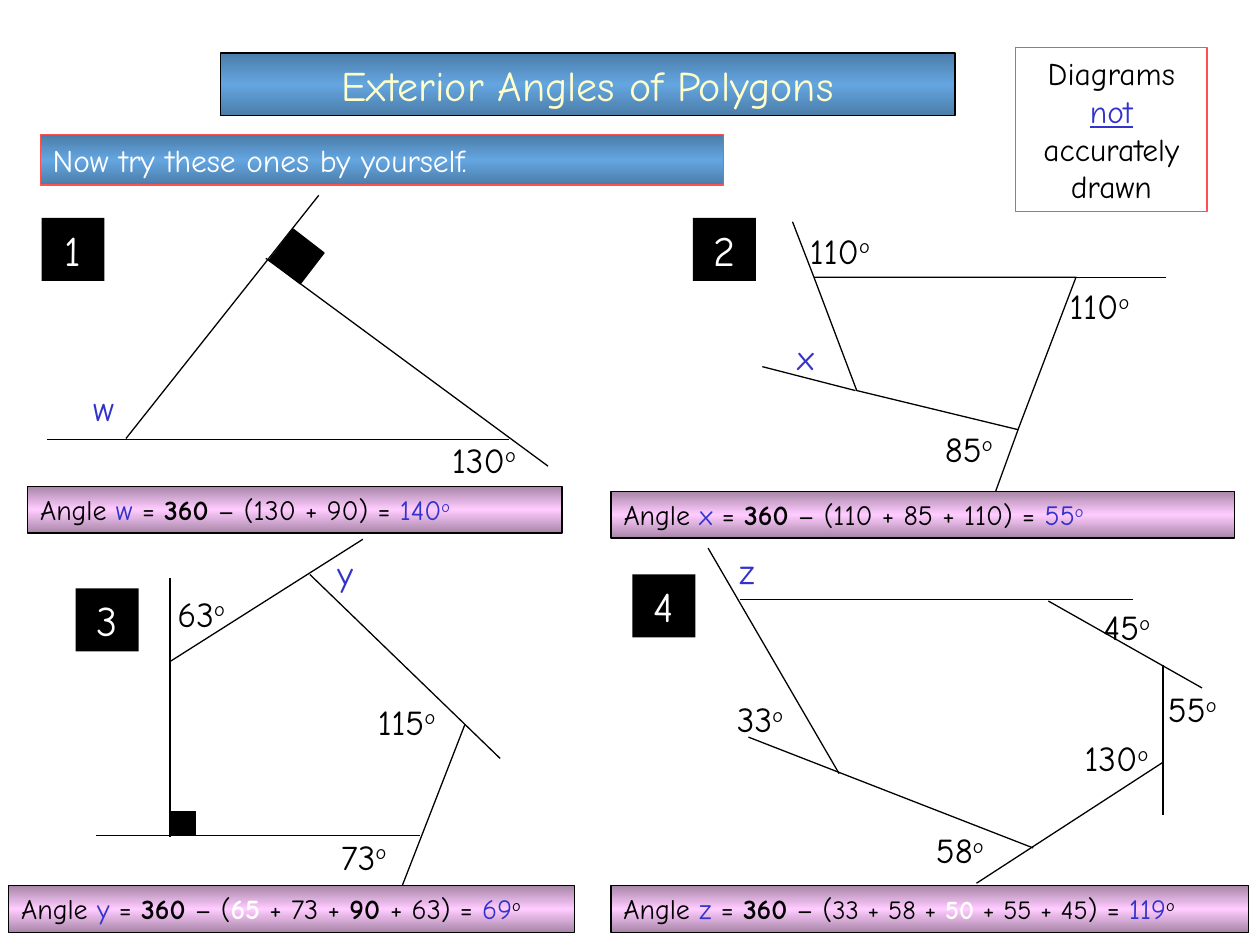
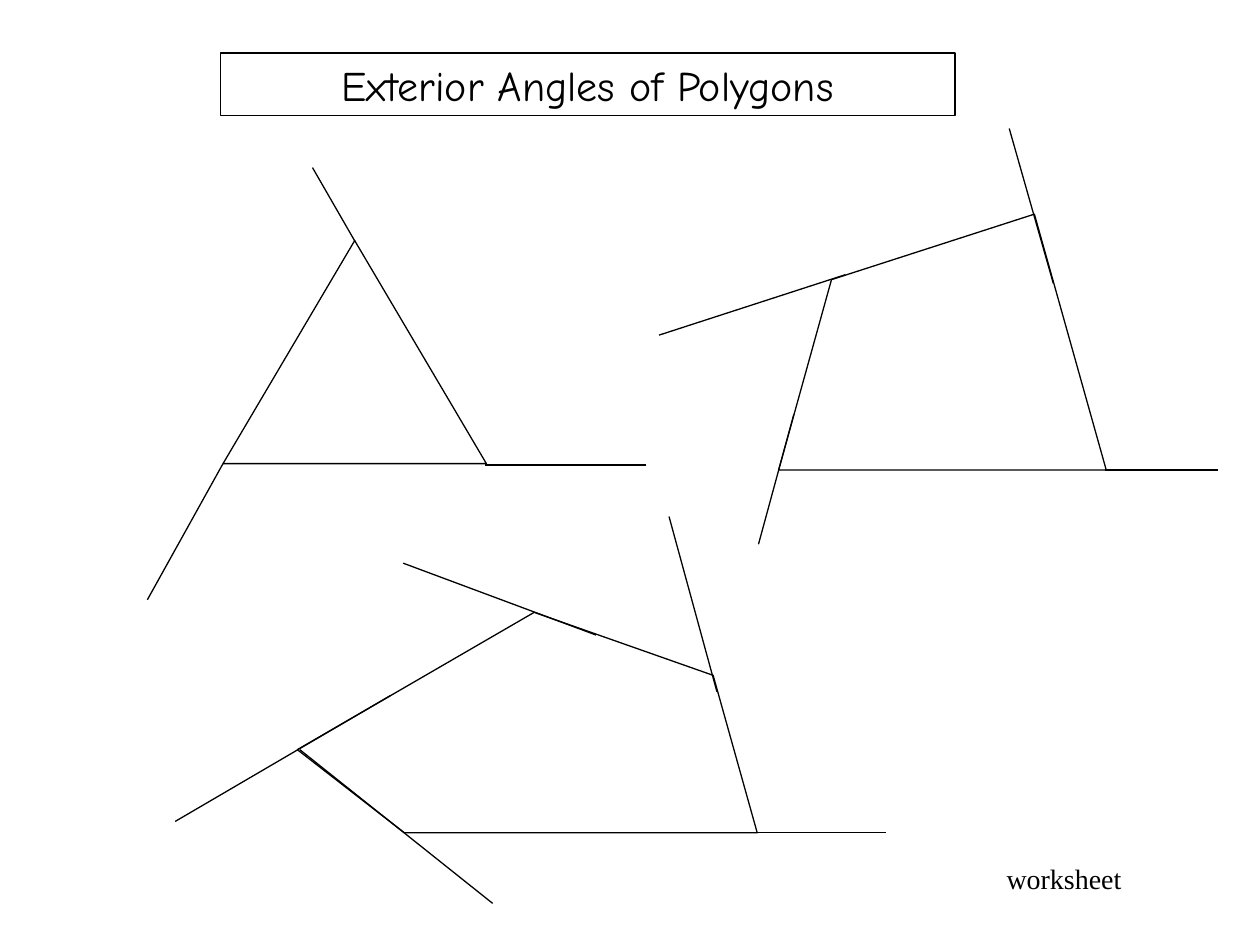
from copy import deepcopy

from lxml import etree
from pptx import Presentation
from pptx.dml.color import RGBColor
from pptx.enum.shapes import MSO_CONNECTOR, MSO_SHAPE
from pptx.enum.text import MSO_ANCHOR, PP_ALIGN
from pptx.oxml.ns import qn
from pptx.util import Emu, Pt

PX = 9144  # 100 px to the inch
STRAIGHT = MSO_CONNECTOR.STRAIGHT
RECTANGLE = MSO_SHAPE.RECTANGLE
TRIANGLE = MSO_SHAPE.ISOSCELES_TRIANGLE
LEFT, CENTER = PP_ALIGN.LEFT, PP_ALIGN.CENTER
TOP = MSO_ANCHOR.TOP

BLACK = RGBColor(0x00, 0x00, 0x00)
WHITE = RGBColor(0xFF, 0xFF, 0xFF)
CREAM = RGBColor(0xFF, 0xFF, 0xCC)
BLUE = RGBColor(0x33, 0x33, 0xCC)
RED = RGBColor(0xFF, 0x50, 0x50)
BLUE_BAND = (RGBColor(0x4B, 0x7D, 0xA9), RGBColor(0x64, 0xA5, 0xE0))
PINK_BAND = (RGBColor(0xA8, 0x86, 0xA8), RGBColor(0xFF, 0xCC, 0xFF))

HAND_FONT = "Comic Neue"
SERIF_FONT = "Times New Roman"
TITLE = "Exterior Angles of Polygons"
DEGREE = ("o", {"raised": True})


def px(*lengths):
    return [Emu(length * PX) for length in lengths]


# ---- Shared drawing helpers ----
def write(shape, text, size=20, color=BLACK, font=HAND_FONT, align=LEFT):
    """Text is a string or a list of (string, format) runs."""
    frame = shape.text_frame
    frame.word_wrap = True
    frame.vertical_anchor = TOP
    paragraph = frame.paragraphs[0]
    paragraph.alignment = align
    runs = [(text, {})] if isinstance(text, str) else text
    for words, look in runs:
        run = paragraph.add_run()
        run.text = words
        run.font.name = font
        run.font.size = Pt(look.get("size", size))
        run.font.bold = look.get("bold", False)
        run.font.underline = look.get("underline", False)
        run.font.color.rgb = look.get("color", color)
        if look.get("raised"):
            run._r.get_or_add_rPr().set("baseline", "30000")


def paint(shape, fill=None, line=BLACK):
    """Fill is a colour, an (edge, middle) pair for a band, or None."""
    shape.shadow.inherit = False
    if fill is None:
        shape.fill.background()
    elif isinstance(fill, RGBColor):
        shape.fill.solid()
        shape.fill.fore_color.rgb = fill
    else:
        edge, middle = fill
        shape.fill.gradient()
        shape.fill.gradient_angle = 90
        stops = shape._element.spPr.find(".//" + qn("a:gsLst"))
        stops.append(deepcopy(stops[0]))
        for stop, color, position in zip(shape.fill.gradient_stops,
                                         (edge, middle, edge), (0, 0.5, 1)):
            stop.color.rgb = color
            stop.position = position
    if line is None:
        shape.line.fill.background()
    else:
        shape.line.color.rgb = line
        shape.line.width = Pt(0.75)


def add_box(slide, box, fill=None, line=BLACK, kind=RECTANGLE):
    shape = slide.shapes.add_shape(kind, *px(*box))
    paint(shape, fill, line)
    return shape


def add_label(slide, box, text, **look):
    write(slide.shapes.add_textbox(*px(*box)), text, **look)


def add_lines(slide, left, top, lines):
    for x1, y1, x2, y2 in lines:
        side = slide.shapes.add_connector(
            STRAIGHT, *px(left + x1, top + y1, left + x2, top + y2))
        side.line.color.rgb = BLACK
        side.line.width = Pt(0.75)
        etree.SubElement(side._element.spPr, qn("a:effectLst"))


def add_polygon(slide, left, top, corners):
    first, *rest = [(left + x, top + y) for x, y in corners]
    outline = slide.shapes.build_freeform(*first, scale=PX)
    outline.add_line_segments(rest, close=True)
    paint(outline.convert_to_shape())


def add_title(slide, fill=None, color=BLACK):
    banner = add_box(slide, (175, 42, 583, 50), fill)
    write(banner, TITLE, size=24, color=color, align=CENTER)


# ---- Slide 1: four questions ----
def answer_runs(letter, working, result, degree_color=BLACK):
    return [("Angle ", {}), (letter, {"color": BLUE}), (" = ", {}),
            ("360", {"bold": True}), *working, (result, {"color": BLUE}),
            ("o", {"raised": True, "color": degree_color})]


def add_question(slide, number, q):
    left, top = q["origin"]

    # Sides of the polygon and their extensions
    if "corners" in q:
        add_polygon(slide, left, top, q["corners"])
    add_lines(slide, left, top, q["lines"])

    # Number badge
    x, y = q["badge"]
    badge = add_box(slide, (left + x, top + y, 50, 50), BLACK, None)
    write(badge, str(number), size=24, color=WHITE, align=CENTER)

    # Right-angle mark
    if "right_angle" in q:
        x, y, side, turn = q["right_angle"]
        mark = add_box(slide, (left + x, top + y, side, side), BLACK)
        mark.rotation = turn

    # Known angles and the unknown one
    for degrees, x, y in q["angles"]:
        add_label(slide, (left + x, top + y, 83, 44), [(degrees, {}), DEGREE])
    letter, x, y = q["unknown"]
    add_label(slide, (left + x, top + y, 48, 44), letter, color=BLUE)

    # Answer band
    x, y, width = q["band"]
    band = add_box(slide, (left + x, top + y, width, 37), PINK_BAND)
    write(band, answer_runs(letter, *q["answer"]), size=16)


QUESTIONS = [
    {"origin": (0, 155), "badge": (33, 18),
     "lines": [(404, 194, 37, 194), (435, 215, 211, 50), (100, 193, 253, 0)],
     "right_angle": (220, 33, 31, 307.6),
     "angles": [("130", 349, 188)],
     "unknown": ("w", 64, 147),
     "band": (22, 231, 424),
     "answer": ([(" – (130 + 90) = ", {})], "140", BLUE)},
    {"origin": (485, 155), "badge": (65, 18),
     "corners": [(161, 65), (369, 65), (323, 186), (195, 155)],
     "lines": [(368, 65, 440, 65), (323, 186, 303, 241),
               (194, 155, 120, 136), (161, 65, 144, 21)],
     "angles": [("110", 148, 22), ("85", 255, 179), ("110", 354, 66)],
     "unknown": ("x", 138, 106),
     "band": (0, 235, 495),
     "answer": ([(" – (110 + 85 + 110) = ", {})], "55", BLUE)},
    {"origin": (0, 425), "badge": (60, 42),
     "lines": [(333, 238, 76, 238), (135, 239, 135, 34), (135, 100, 288, 3),
               (246, 31, 397, 177), (369, 150, 313, 294)],
     "right_angle": (136, 219, 19, 0),
     "angles": [("63", 131, 40), ("73", 261, 233), ("115", 290, 126)],
     "unknown": ("y", 258, 8),
     "band": (7, 278, 449),
     "answer": ([(" – (", {}), ("65", {"color": WHITE, "bold": True}),
                 (" + 73 + ", {}), ("90 ", {"bold": True}), ("+ 63) = ", {})],
                "69")},
    {"origin": (485, 425), "badge": (17, 31),
     "lines": [(102, 51, 414, 51), (77, 10, 181, 189), (109, 160, 335, 248),
               (290, 276, 438, 180), (438, 222, 438, 103),
               (469, 121, 347, 52)],
     "angles": [("58", 248, 228), ("33", 90, 124), ("55", 432, 116),
                ("130", 366, 155), ("45", 381, 51)],
     "unknown": ("z", 92, 6),
     "band": (0, 278, 506),
     "answer": ([(" – (", {}), ("33 + 58 + ", {"size": 15}),
                 ("50", {"size": 15, "color": WHITE, "bold": True}),
                 (" + 55 + 45", {"size": 15}), (") = ", {})], "119")},
]


def build_questions(slide):
    add_title(slide, BLUE_BAND, CREAM)
    accuracy_note = add_box(slide, (806, 38, 152, 130), line=RED)
    write(accuracy_note,
          [("Diagrams ", {}), ("not ", {"color": BLUE, "underline": True}),
           ("accurately drawn", {})], size=18, align=CENTER)
    instruction = add_box(slide, (32, 107, 542, 40), BLUE_BAND, RED)
    write(instruction, "Now try these ones by yourself.", size=18, color=WHITE)
    for number, question in enumerate(QUESTIONS, 1):
        add_question(slide, number, question)


# ---- Slide 2: worksheet ----
def add_triangle(slide, left, top):
    add_box(slide, (left + 60, top + 58, 209, 177), kind=TRIANGLE)
    add_lines(slide, left, top, [(268, 236, 396, 236), (165, 59, 131, 0),
                                 (60, 235, 0, 343)])


def add_quadrilateral(slide, left, top):
    add_polygon(slide, left, top,
                [(95, 271), (355, 271), (298, 68), (137, 120)])
    add_lines(slide, left, top, [(354, 271, 444, 271), (313, 123, 278, 0),
                                 (148, 116, 0, 164), (107, 227, 79, 330)])


def add_pentagon(slide, left, top):
    add_polygon(slide, left, top,
                [(182, 251), (462, 251), (427, 126), (285, 76), (97, 185)])
    add_lines(slide, left, top, [(461, 251, 564, 251), (430, 139, 392, 0),
                                 (334, 94, 181, 37), (171, 142, 0, 242),
                                 (99, 185, 252, 307)])


def build_worksheet(slide):
    add_title(slide)
    add_triangle(slide, 117, 133)
    add_quadrilateral(slide, 523, 102)
    add_pentagon(slide, 139, 410)
    add_label(slide, (758, 679, 173, 37), "worksheet", size=16,
              font=SERIF_FONT, align=CENTER)


def main():
    deck = Presentation()
    deck.slide_width, deck.slide_height = px(1000, 750)
    blank = deck.slide_layouts[6]
    for build in (build_questions, build_worksheet):
        build(deck.slides.add_slide(blank))
    deck.save("out.pptx")


if __name__ == "__main__":
    main()
